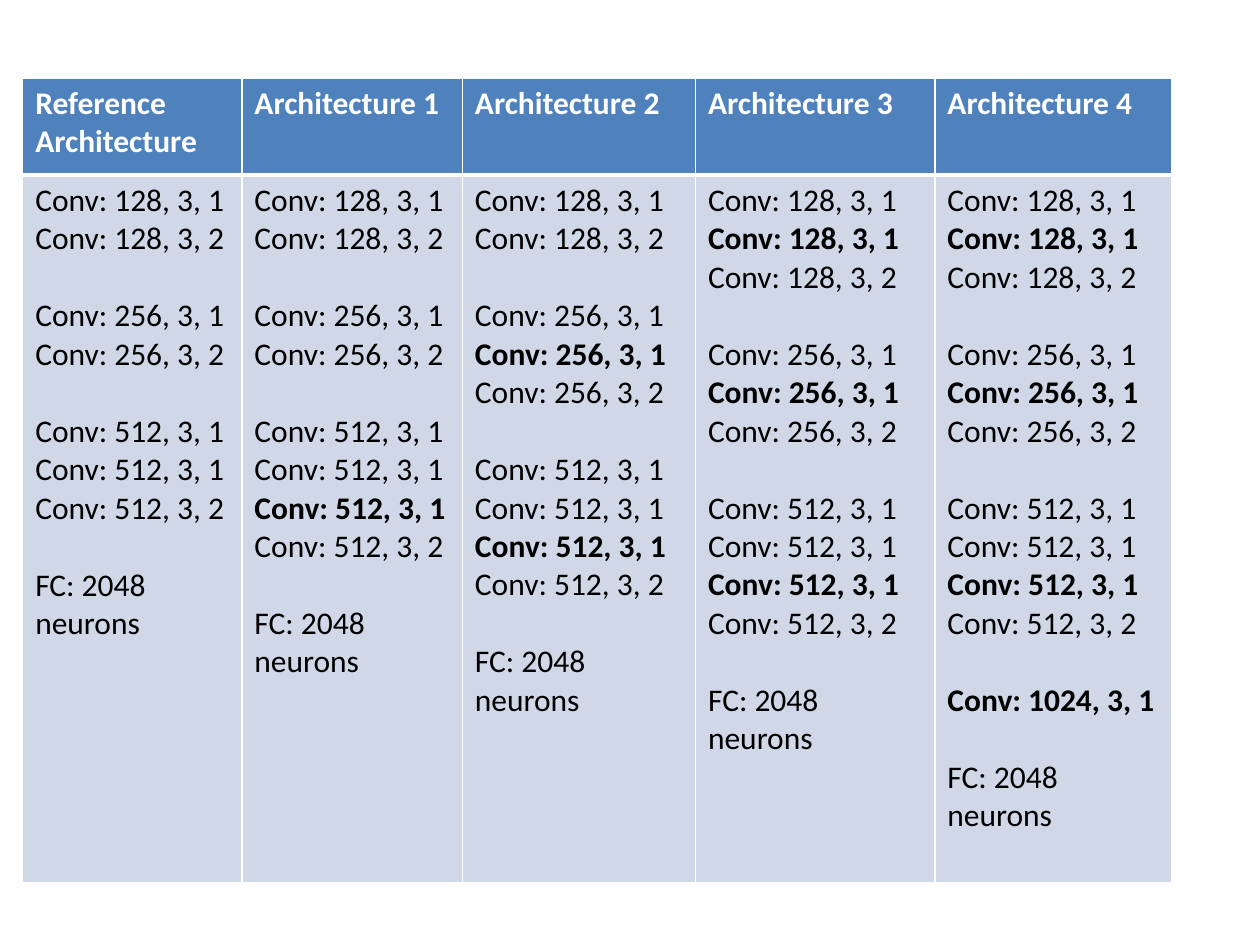
import pptx
import pptx.dml.color
import pptx.oxml.ns
import pptx.util
from lxml import etree
from pptx.util import Inches

FONT = "Calibri"
SIZE = 18
LINE_GAP = 22
WHITE, BLACK, BLUE, PALE = "FFFFFF", "000000", "4F81BD", "D0D8E8"
COLUMN_WIDTHS = [1.74, 1.75, 1.85, 1.9, 1.88]
ROW_HEIGHTS = [0.77, 5.62]

# Each block is a list of layers; a star marks a layer added to the reference.
PLAIN_128 = ["Conv: 128, 3, 1", "Conv: 128, 3, 2"]
DEEP_128 = ["Conv: 128, 3, 1", "*Conv: 128, 3, 1", "Conv: 128, 3, 2"]
PLAIN_256 = ["Conv: 256, 3, 1", "Conv: 256, 3, 2"]
DEEP_256 = ["Conv: 256, 3, 1", "*Conv: 256, 3, 1", "Conv: 256, 3, 2"]
PLAIN_512 = ["Conv: 512, 3, 1", "Conv: 512, 3, 1", "Conv: 512, 3, 2"]
DEEP_512 = PLAIN_512[:2] + ["*Conv: 512, 3, 1", "Conv: 512, 3, 2"]
EXTRA_1024 = ["*Conv: 1024, 3, 1"]
DENSE = ["FC: 2048 neurons"]

ARCHITECTURES = [
    ("Reference Architecture", [PLAIN_128, PLAIN_256, PLAIN_512, DENSE]),
    ("Architecture 1", [PLAIN_128, PLAIN_256, DEEP_512, DENSE]),
    ("Architecture 2", [PLAIN_128, DEEP_256, DEEP_512, DENSE]),
    ("Architecture 3", [DEEP_128, DEEP_256, DEEP_512, DENSE]),
    ("Architecture 4", [DEEP_128, DEEP_256, DEEP_512, EXTRA_1024, DENSE]),
]


def color(value):
    """Turn a hex string into a colour."""
    return pptx.dml.color.RGBColor.from_string(value)


def write(para, text, *, ink=BLACK, bold=False, before=0):
    """Put formatted text into a paragraph."""
    para.space_before = pptx.util.Pt(before)
    span = para.add_run()
    span.text = text
    span.font.name = FONT
    span.font.size = pptx.util.Pt(SIZE)
    span.font.bold = bold
    span.font.color.rgb = color(ink)


def style_cell(cell, fill, top=1, bottom=1):
    """Give a cell white borders and a plain fill."""
    properties = cell._tc.get_or_add_tcPr()
    for side, width in (("L", 1), ("R", 1), ("T", top), ("B", bottom)):
        line = etree.SubElement(properties, pptx.oxml.ns.qn(f"a:ln{side}"),
                                w=str(pptx.util.Pt(width)))
        solid = etree.SubElement(line, pptx.oxml.ns.qn("a:solidFill"))
        etree.SubElement(solid, pptx.oxml.ns.qn("a:srgbClr"), val=WHITE)
    cell.fill.solid()
    cell.fill.fore_color.rgb = color(fill)


def write_blocks(cell, blocks):
    """List the layers of each block, with a line of space between blocks."""
    frame = cell.text_frame
    for block_index, block in enumerate(blocks):
        for layer_index, layer in enumerate(block):
            first = block_index == layer_index == 0
            para = frame.paragraphs[0] if first else frame.add_paragraph()
            starts_block = block_index > 0 and layer_index == 0
            write(para, layer.lstrip("*"), bold=layer.startswith("*"),
                  before=LINE_GAP if starts_block else 0)


def add_architecture_table(page, left, top):
    """Place the comparison table with its corner at the given point."""
    frame = page.shapes.add_table(
        2, len(ARCHITECTURES), Inches(left), Inches(top),
        Inches(sum(COLUMN_WIDTHS)), Inches(sum(ROW_HEIGHTS)))
    table = frame.table
    for row, height in zip(table.rows, ROW_HEIGHTS):
        row.height = Inches(height)
    for index, (heading, blocks) in enumerate(ARCHITECTURES):
        table.columns[index].width = Inches(COLUMN_WIDTHS[index])
        header, body = table.cell(0, index), table.cell(1, index)
        style_cell(header, BLUE, bottom=3)
        write(header.text_frame.paragraphs[0], heading, ink=WHITE, bold=True)
        style_cell(body, PALE, top=3)
        write_blocks(body, blocks)


def main():
    """Build the deck."""
    deck = pptx.Presentation()
    deck.slide_width, deck.slide_height = Inches(10), Inches(7.5)
    page = deck.slides.add_slide(deck.slide_layouts[6])
    add_architecture_table(page, 0.18, 0.62)
    deck.save("out.pptx")


main()
